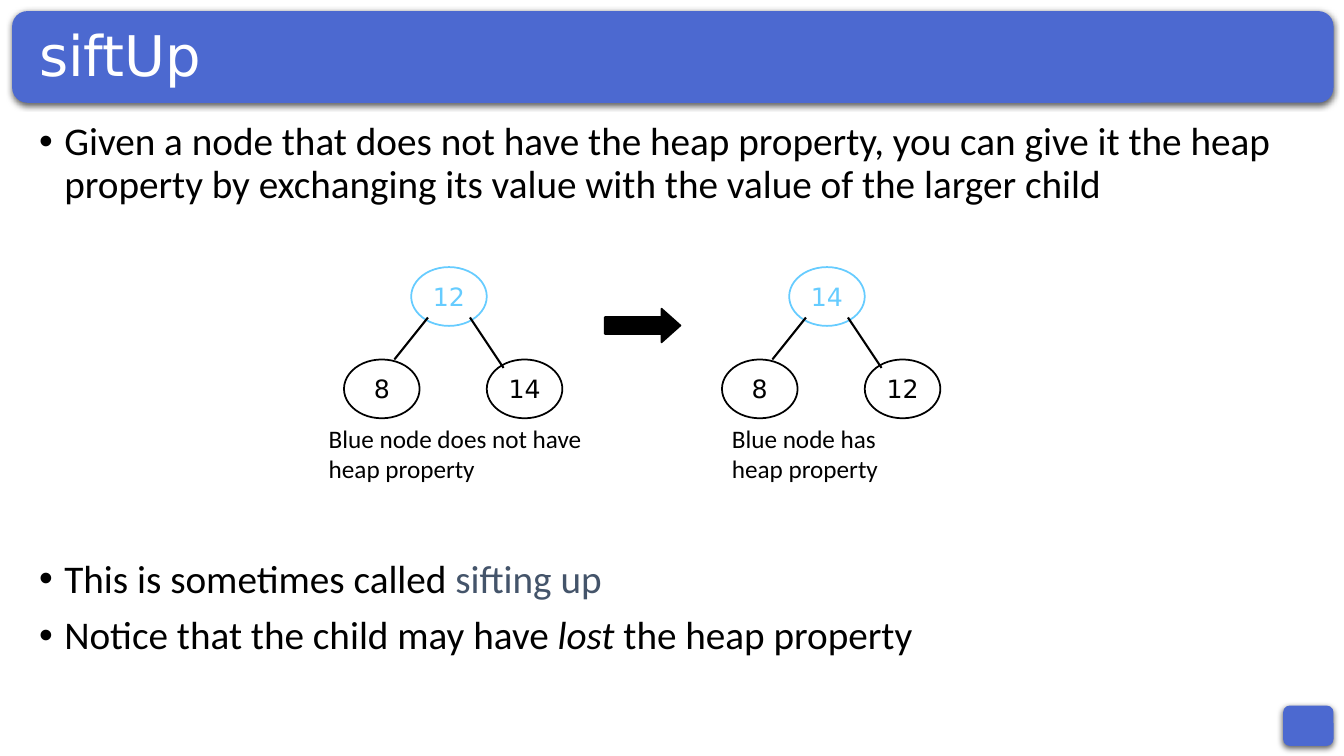
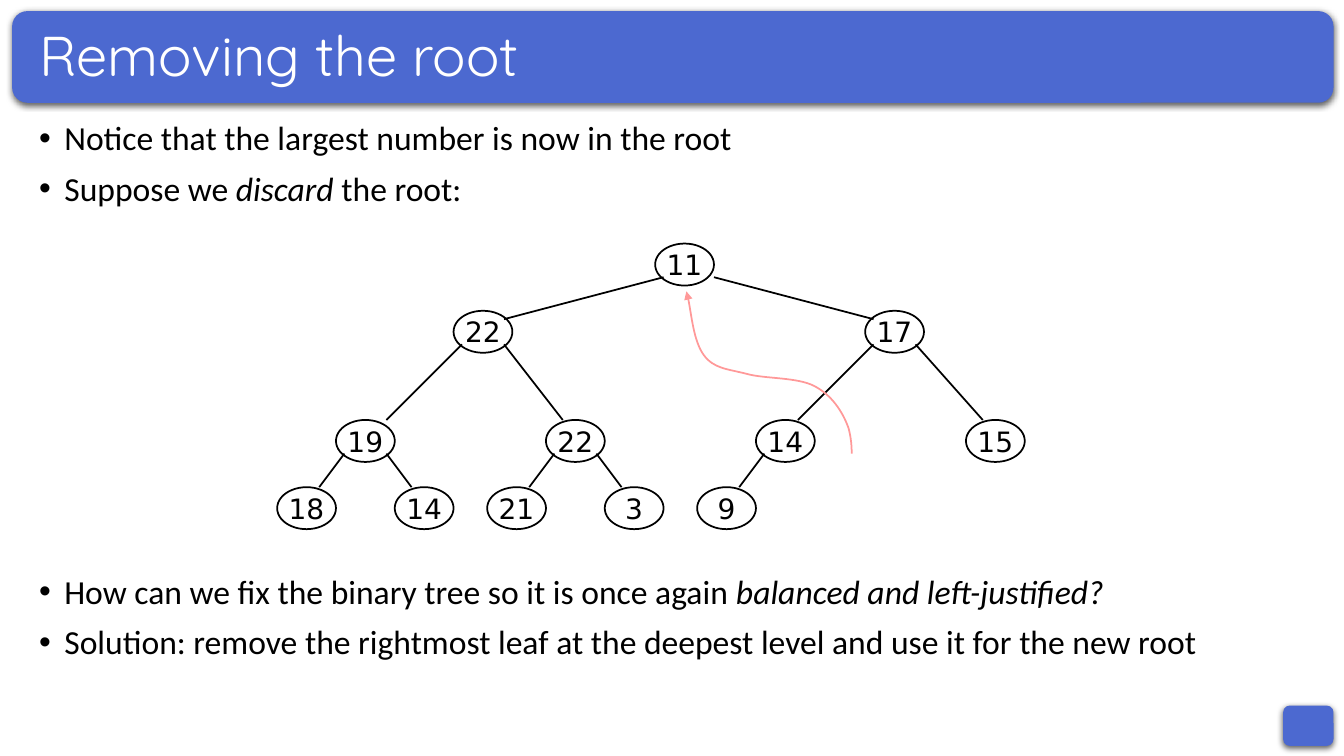
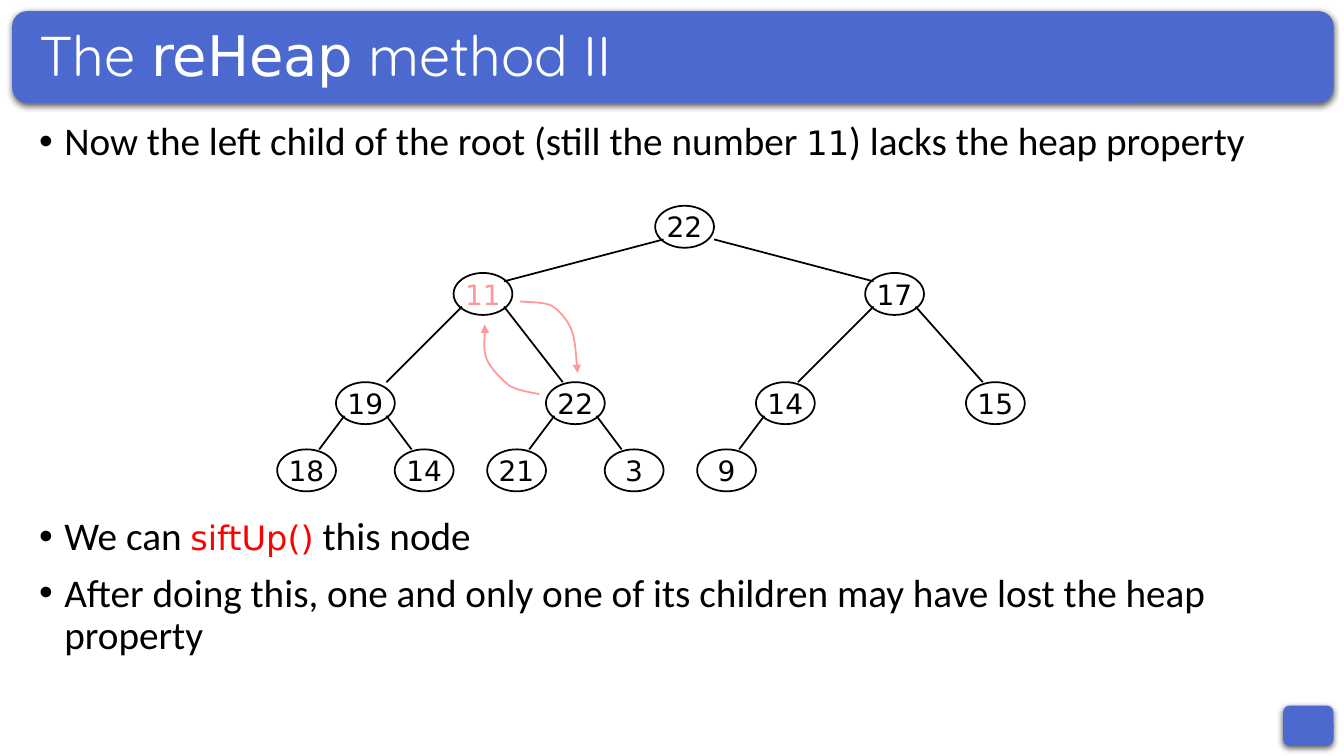
from lxml.etree import SubElement
from pptx import Presentation
from pptx.dml.color import RGBColor
from pptx.enum.shapes import MSO_CONNECTOR as Link, MSO_SHAPE as Shape
from pptx.enum.text import MSO_ANCHOR as Anchor, MSO_AUTO_SIZE as Fit, PP_ALIGN as Align
from pptx.oxml.ns import qn
from pptx.util import Pt

BLUE, BLACK, WHITE = "4C69D0", "000000", "FFFFFF"
SKY, PINK, RED, SLATE = "66CCFF", "FF9999", "FF0000", "44546A"
TITLE_FONT, BODY_FONT, CODE_FONT = "Quicksand", "Calibri", "DejaVu Sans"

TITLE_BOX = (20.88, 18, 918.72, 46.8)
BODY_BOX = (20.88, 83.52, 918.72, 403.2)
BANDS = ((916.56, 504, 36, 28.8), (8.64, 7.92, 943.92, 65.52))

PAIR = {
    "node": (54, 42), "exit_y": 36, "size": 18, "line": 1.5,
    "root": (48, 0),
    "children": (
        (0, 66, 0, 12, 36, 0),
        (102, 66, 0, 42, 12, 6),
    ),
}
HEAP = {
    "node": (42, 30), "exit_y": 24, "size": 20, "line": 1.25,
    "root": (270, 0),
    "children": (
        (126, 48, 0, 6, 36, 6),
        (420, 48, 0, 42, 6, 6),
        (42, 126, 1, 6, 36, 0),
        (192, 126, 1, 36, 12, 0),
        (342, 126, 2, 6, 30, 0),
        (492, 126, 2, 36, 12, 0),
        (0, 174, 3, 6, 30, 0),
        (84, 174, 3, 36, 12, 0),
        (150, 174, 4, 6, 30, 0),
        (234, 174, 4, 36, 12, 0),
        (300, 174, 5, 6, 30, 0),
    ),
}

LEAF_TO_ROOT = (
    (410.4, 150), (410.4, 143.5), (409.7, 137.8), (408.2, 132),
    (403.9, 119.8), (396, 108.2), (383.8, 101.8),
    (371.5, 95.3), (348.5, 96.7), (335.5, 93.1),
    (321.8, 89.5), (311.8, 89.5), (304.6, 79.4),
    (297.4, 69.4), (295.2, 43.4), (292.3, 34.1),
)
PARENT_DOWN = (
    (173.5, 68.3), (177.1, 69), (189.4, 68.3), (195.8, 71.2),
    (201.6, 74.8), (206.6, 80.5), (210.2, 88.4),
    (213.1, 96.4), (213.8, 112.9), (214.6, 119.4),
)
CHILD_UP = (
    (187.2, 134.5), (184.3, 133.8), (172.8, 132.4), (166.3, 128.8),
    (160.6, 124.4), (153.4, 117.2), (149.8, 110),
    (146.9, 102.1), (149, 89.9), (148.3, 84.8),
)


def color(value):
    return RGBColor.from_string(value)


def points(values):
    return [Pt(value) for value in values]


def apply(target, formats):
    for name, value in formats.items():
        setattr(target, name, value)


def style_shape(shape, fill=None, line=None, width=1.25):
    shape.shadow.inherit = False
    if fill:
        shape.fill.solid()
        shape.fill.fore_color.rgb = color(fill)
    else:
        shape.fill.background()
    if line:
        shape.line.color.rgb = color(line)
        shape.line.width = Pt(width)
    else:
        shape.line.fill.background()


def add_runs(para, runs, base):
    for text, changes in runs:
        formats = {**base, **changes}
        span = para.add_run()
        span.text = text
        span.font.color.rgb = color(formats.pop("ink"))
        span.font.size = Pt(formats.pop("size"))
        apply(span.font, formats)


def add_text(page, box, paragraphs, base, para_format=None, **frame_format):
    frame = page.shapes.add_textbox(*points(box)).text_frame
    apply(frame, {"word_wrap": True, **frame_format})
    for index, runs in enumerate(paragraphs):
        para = frame.add_paragraph() if index else frame.paragraphs[0]
        apply(para, para_format or {})
        add_runs(para, runs, base)
    return frame


def add_band(page, box):
    band = page.shapes.add_shape(Shape.ROUNDED_RECTANGLE, *points(box))
    style_shape(band, BLUE)
    effects = band._element.spPr.find(qn("a:effectLst"))
    shadow = SubElement(effects, qn("a:outerShdw"), blurRad=str(Pt(4.5)),
                        dist=str(Pt(1.5)), dir="5400000", rotWithShape="0")
    ink = SubElement(shadow, qn("a:srgbClr"), val=BLACK)
    SubElement(ink, qn("a:alpha"), val="63000")


def add_page(deck, title):
    page = deck.slides.add_slide(deck.slide_layouts[6])
    for box in BANDS:
        add_band(page, box)
    add_text(page, TITLE_BOX, [title],
             {"name": TITLE_FONT, "size": 40, "ink": WHITE},
             {"line_spacing": 0.9}, vertical_anchor=Anchor.MIDDLE)
    return page


def add_bullets(page, box, paragraphs, size, gap_index, gap):
    frame = add_text(page, box, paragraphs,
                     {"name": BODY_FONT, "size": size, "ink": BLACK},
                     {"line_spacing": 0.9, "space_before": Pt(10)})
    for para in frame.paragraphs:
        props = para._p.get_or_add_pPr()
        props.set("marL", str(Pt(18)))
        props.set("indent", str(Pt(-18)))
        SubElement(props, qn("a:buFont"), typeface="Arial")
        SubElement(props, qn("a:buChar"), char="•")
    frame.paragraphs[gap_index].space_before = Pt(gap)


def add_node(page, box, label, size, ink, line):
    node = page.shapes.add_shape(Shape.OVAL, *points(box))
    style_shape(node, line=line)
    frame = node.text_frame
    apply(frame, {"word_wrap": False, "vertical_anchor": Anchor.MIDDLE})
    para = frame.paragraphs[0]
    para.alignment = Align.CENTER
    add_runs(para, [(label, {})], {"name": CODE_FONT, "size": size, "ink": ink})


def add_edge(page, start, end, width):
    edge = page.shapes.add_connector(Link.STRAIGHT, *points(start + end))
    edge.line.color.rgb = color(BLACK)
    edge.line.width = Pt(width)
    SubElement(edge._element.spPr, qn("a:effectLst"))


def add_tree(page, left, top, plan, labels, inks=None, lines=None):
    inks, lines = inks or {}, lines or {}
    spots = [plan["root"]] + [child[:2] for child in plan["children"]]
    spots = [(left + x, top + y) for x, y in spots]
    for index, (spot, label) in enumerate(zip(spots, labels)):
        add_node(page, spot + plan["node"], label, plan["size"],
                 inks.get(index, BLACK), lines.get(index, BLACK))
    for spot, child in zip(spots[1:], plan["children"]):
        parent, exit_x, join_x, join_y = child[2:]
        start = (spots[parent][0] + exit_x, spots[parent][1] + plan["exit_y"])
        end = (spot[0] + join_x, spot[1] + join_y)
        add_edge(page, start, end, plan["line"])


def add_curved_arrow(page, left, top, track):
    spots = [(Pt(left + x), Pt(top + y)) for x, y in track]
    builder = page.shapes.build_freeform(*spots[0])
    builder.add_line_segments(spots[1:], close=False)
    arrow = builder.convert_to_shape()
    style_shape(arrow, line=PINK)
    outline = arrow._element.spPr.find(".//" + qn("a:path"))
    segments = outline.findall(qn("a:lnTo"))
    for first in range(0, len(segments), 3):
        curve = SubElement(outline, qn("a:cubicBezTo"))
        for segment in segments[first:first + 3]:
            curve.append(segment[0])
            outline.remove(segment)
    SubElement(arrow.line._get_or_add_ln(), qn("a:tailEnd"), type="triangle")


def add_captioned_pair(page, left, top, labels, caption, shift, width):
    add_tree(page, left, top, PAIR, labels, {0: SKY}, {0: SKY})
    add_text(page, (left + shift, top + 108, width, 51), [[(caption, {})]],
             {"name": BODY_FONT, "size": 18, "ink": BLACK},
             auto_size=Fit.SHAPE_TO_FIT_TEXT)


def build_sift_up(deck):
    page = add_page(deck, [("siftUp", {"name": CODE_FONT})])
    add_bullets(page, BODY_BOX, [
        [("Given a node that does not have the heap property, you can give it the heap "
          "property by exchanging its value with the value of the larger child", {})],
        [("This is sometimes called ", {}), ("sifting up", {"ink": SLATE})],
        [("Notice that the child may have ", {}), ("lost", {"italic": True}),
         (" the heap property", {})],
    ], 28, 1, 252)
    add_captioned_pair(page, 515.7, 190.8, ("14", "8", "12"),
                       "Blue node has heap property", 0, 156)
    add_captioned_pair(page, 245.7, 190.8, ("12", "8", "14"),
                       "Blue node does not have heap property", -18, 204)
    arrow = page.shapes.add_shape(Shape.RIGHT_ARROW, *points((432, 220.5, 54, 24)))
    arrow.adjustments[1] = 0.56
    style_shape(arrow, BLACK, BLACK)


def build_removing_root(deck):
    page = add_page(deck, [("Removing the root", {})])
    add_bullets(page, BODY_BOX, [
        [("Notice that the largest number is now in the root", {})],
        [("Suppose we ", {}), ("discard", {"italic": True}), (" the root:", {})],
        [("How can we fix the binary tree so it is once again ", {}),
         ("balanced and left-justified?", {"italic": True})],
        [("Solution: remove the rightmost leaf at the deepest level "
          "and use it for the new root", {})],
    ], 24, 2, 262)
    labels = "11 22 17 19 22 14 15 18 14 21 3 9".split()
    add_tree(page, 198, 174, HEAP, labels)
    add_curved_arrow(page, 198, 174, LEAF_TO_ROOT)


def build_reheap(deck):
    page = add_page(deck, [("The ", {}), ("reHeap", {"name": CODE_FONT}),
                           (" method II", {})])
    code = {"name": CODE_FONT, "size": 24}
    add_bullets(page, BODY_BOX[:3] + (425.5,), [
        [("Now the left child of the root (still the number ", {}), ("11", code),
         (") lacks the heap property", {})],
        [("We can ", {}), ("siftUp()", {**code, "ink": RED}), (" this node", {})],
        [("After doing this, one and only one of its children "
          "may have lost the heap property", {})],
    ], 28, 1, 252)
    labels = "22 11 17 19 22 14 15 18 14 21 3 9".split()
    add_tree(page, 198, 147, HEAP, labels, {1: PINK})
    for track in (PARENT_DOWN, CHILD_UP):
        add_curved_arrow(page, 198, 147, track)


def main():
    deck = Presentation()
    apply(deck, {"slide_width": Pt(960), "slide_height": Pt(540)})
    for build in (build_sift_up, build_removing_root, build_reheap):
        build(deck)
    deck.save("out.pptx")


if __name__ == "__main__":
    main()
